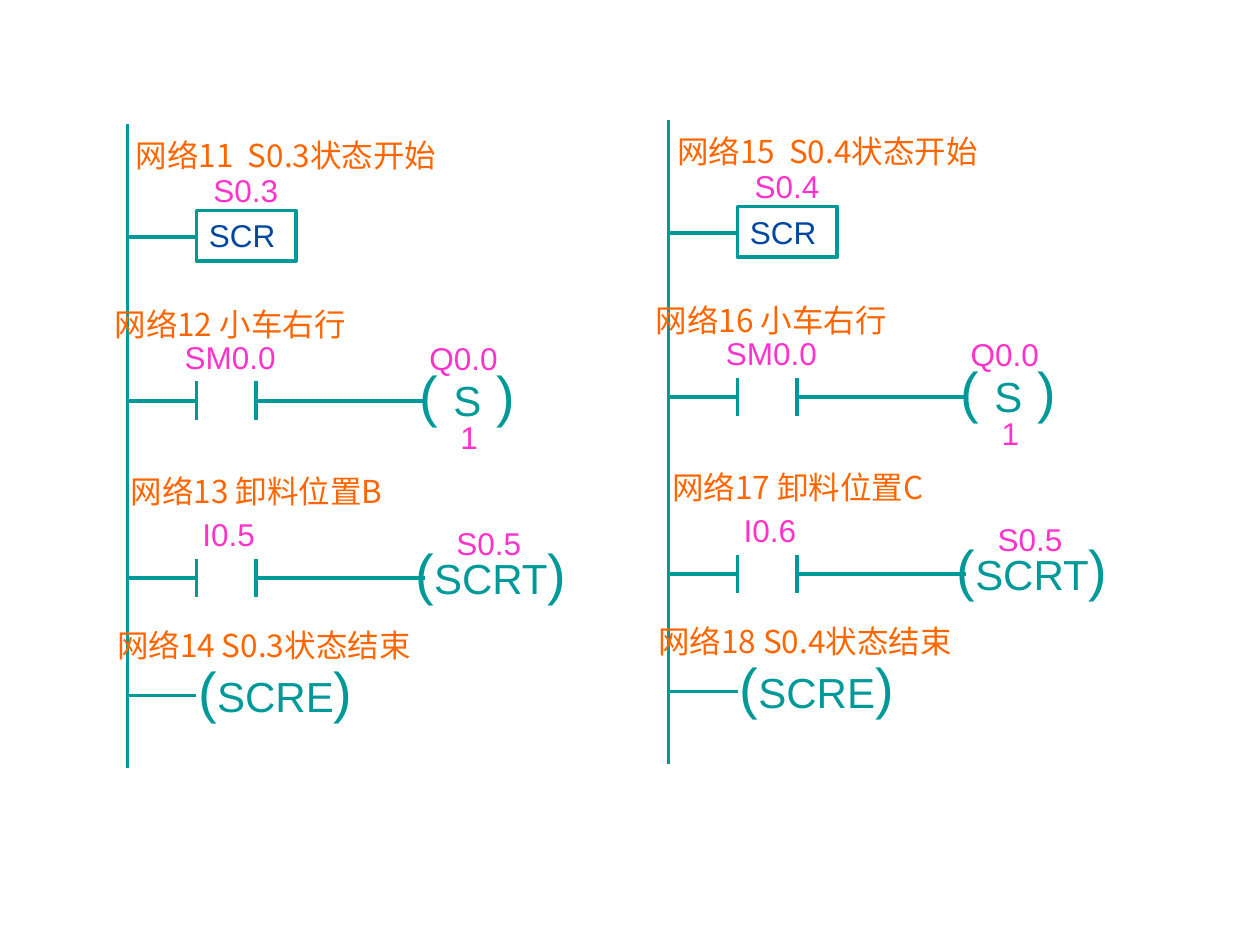
from lxml.etree import SubElement
from pptx import Presentation
from pptx.dml.color import RGBColor
from pptx.enum.shapes import MSO_CONNECTOR as Connector, MSO_SHAPE as Shape
from pptx.enum.text import MSO_ANCHOR as Anchor, MSO_AUTO_SIZE as AutoSize, PP_ALIGN as Align
from pptx.oxml.ns import qn
from pptx.util import Cm, Pt


def color(hex_string):
    return RGBColor.from_string(hex_string)


class LadderDiagram:
    """Draws ladder elements, in centimetres from a movable origin."""
    WIRE, ADDRESS, HEADING, BLOCK = "009999", "FF33CC", "FF6600", "0047A0"
    LATIN, CHINESE = "Arial", "Noto Sans CJK SC"
    RAIL_X, CONTACT_X, CONTACT_GAP, COIL_X = 2.57, 3.96, 1.2, 8.57
    CONTACT_HALF_HEIGHT = 0.39
    LINE_WIDTH, TEXT_HEIGHT = Pt(2), 1.02

    def __init__(self, slide):
        self.slide = slide
        self.origin = (0, 0)

    def place(self, x, y):
        return Cm(self.origin[0] + x), Cm(self.origin[1] + y)

    def line(self, x1, y1, x2, y2):
        connector = self.slide.shapes.add_connector(
            Connector.STRAIGHT, *self.place(x1, y1), *self.place(x2, y2))
        connector.line.color.rgb = color(self.WIRE)
        connector.line.width = self.LINE_WIDTH
        SubElement(connector._element.spPr, qn("a:effectLst"))

    def set_text(self, shape, runs, hex_string, font_name=LATIN, align=Align.CENTER):
        """Fill a shape with one paragraph of (text, size) runs."""
        frame = shape.text_frame
        frame.word_wrap = True
        frame.auto_size = AutoSize.SHAPE_TO_FIT_TEXT
        frame.vertical_anchor = Anchor.TOP
        paragraph = frame.paragraphs[0]
        paragraph.alignment = align
        for text, size in runs:
            run = paragraph.add_run()
            run.text = text
            run.font.size = Pt(size)
            run.font.name = font_name
            run.font.color.rgb = color(hex_string)
            east_asian = SubElement(run.font._element, qn("a:ea"))
            east_asian.set("typeface", self.CHINESE)

    def text_box(self, x, y, width, height=TEXT_HEIGHT):
        return self.slide.shapes.add_textbox(*self.place(x, y), Cm(width), Cm(height))

    def heading(self, text, x, y, width):
        self.set_text(self.text_box(x, y, width), [(text, 18)],
                      self.HEADING, self.CHINESE, Align.LEFT)

    def address(self, text, x, y, width=2.13):
        self.set_text(self.text_box(x, y, width), [(text, 18)], self.ADDRESS)

    def coil(self, name, x, y, width, padding=""):
        runs = [("(" + padding, 32), (name, 24), (padding + ")", 32)]
        self.set_text(self.text_box(x, y, width, 1.63), runs, self.WIRE)

    def block(self, text, x, y):
        shape = self.slide.shapes.add_shape(
            Shape.RECTANGLE, *self.place(x, y), Cm(2.01), Cm(self.TEXT_HEIGHT))
        shape.shadow.inherit = False
        shape.fill.background()
        shape.line.color.rgb = color(self.WIRE)
        shape.line.width = self.LINE_WIDTH
        self.set_text(shape, [(text, 18)], self.BLOCK, align=Align.LEFT)

    def branch(self, y):
        self.line(self.RAIL_X, y, self.CONTACT_X, y)

    def contact_rung(self, y):
        """Branch, open contact and wire to the coil."""
        self.branch(y)
        right = self.CONTACT_X + self.CONTACT_GAP
        for x in (self.CONTACT_X, right):
            self.line(x, y - self.CONTACT_HALF_HEIGHT, x, y + self.CONTACT_HALF_HEIGHT)
        self.line(right, y, self.COIL_X, y)

    def step(self, origin, first_network, state, sensor, position):
        """One sequence step: start, move right, transfer, end."""
        self.origin = origin
        self.line(self.RAIL_X, 2.49, self.RAIL_X, 15.49)

        self.heading(f"网络{first_network}  {state}状态开始", 2.49, 2.62, 9.8)
        self.address(state, 3.89, 3.33)
        self.branch(4.78)
        self.block("SCR", self.CONTACT_X, 4.24)

        self.heading(f"网络{first_network + 1} 小车右行", 2.06, 6.02, 7.67)
        self.address("SM0.0", 3.05, 6.68, 3.18)
        self.contact_rung(8.08)
        self.address("Q0.0", 8.28, 6.71)
        self.coil("S", 7.72, 7.14, 3.4, padding=" ")
        self.address("1", 8.51, 8.31, 1.9)

        self.heading(f"网络{first_network + 2} 卸料位置{position}", 2.39, 9.4, 7.92)
        self.address(sensor, 3.02, 10.26, 3.18)
        self.contact_rung(11.65)
        self.address("S0.5", 8.79, 10.44)
        self.coil("SCRT", 7.85, 10.74, 4.09)

        self.heading(f"网络{first_network + 3} {state}状态结束", 2.11, 12.5, 7.29)
        self.branch(14.02)
        self.coil("SCRE", 3.51, 13.11, 4.09)


def main():
    presentation = Presentation()
    presentation.slide_width, presentation.slide_height = Cm(25.4), Cm(19.05)
    slide = presentation.slides.add_slide(presentation.slide_layouts[6])
    diagram = LadderDiagram(slide)
    diagram.step((0, 0), 11, "S0.3", "I0.5", "B")
    diagram.step((10.91, -0.08), 15, "S0.4", "I0.6", "C")
    presentation.save("out.pptx")


if __name__ == "__main__":
    main()
